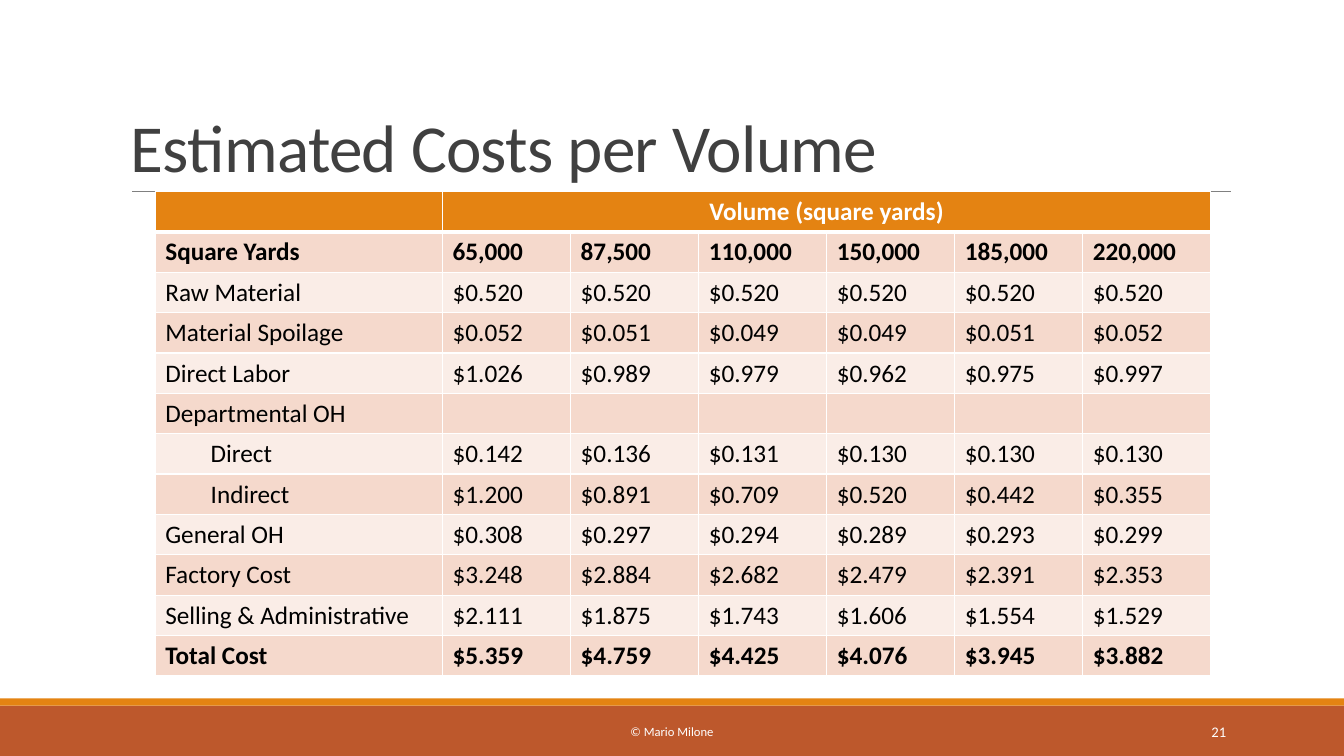
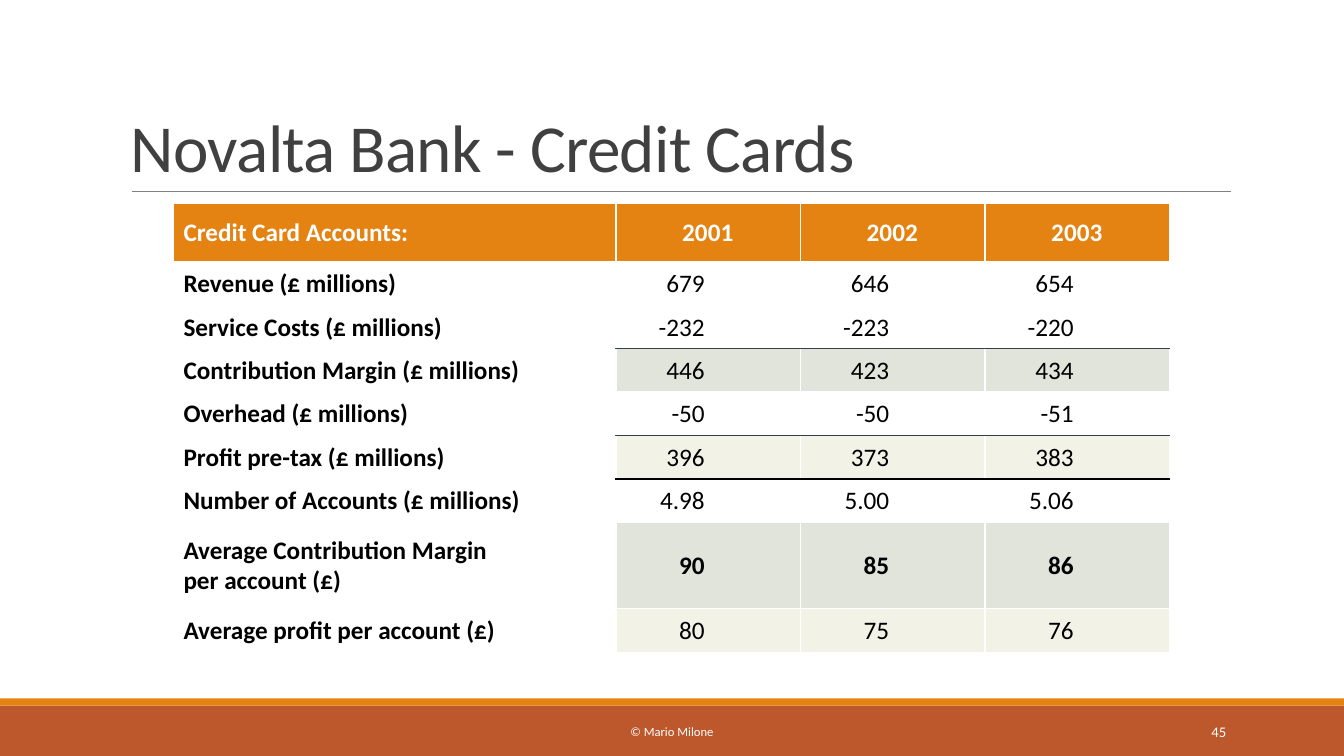
import pptx
import pptx.dml.color
import pptx.enum.shapes
import pptx.enum.text
import pptx.oxml
import pptx.oxml.ns
import pptx.util

Inches = pptx.util.Inches
Pt = pptx.util.Pt
ALIGN = pptx.enum.text.PP_ALIGN
MID = pptx.enum.text.MSO_ANCHOR.MIDDLE
LOW = pptx.enum.text.MSO_ANCHOR.BOTTOM

# Shared look
FONT = "Calibri"
WHITE, BLACK, INK, GRAY = "FFFFFF", "000000", "404040", "808080"
RUST, AMBER, NAVY = "BD582C", "E48312", "323F4F"
ROSE, BLUSH = "F5D9CC", "FAEDE7"
SAGE, CREAM = "E0E4DB", "F3F2E6"

# Cost table: label and one value per volume
COSTS = [
    ["", "Volume (square yards)", "", "", "", "", ""],
    ["Square Yards", "65,000", "87,500", "110,000", "150,000", "185,000", "220,000"],
    ["Raw Material"] + ["$0.520"] * 6,
    ["Material Spoilage", "$0.052", "$0.051", "$0.049", "$0.049", "$0.051", "$0.052"],
    ["Direct Labor", "$1.026", "$0.989", "$0.979", "$0.962", "$0.975", "$0.997"],
    ["Departmental OH"] + [""] * 6,
    ["Direct", "$0.142", "$0.136", "$0.131", "$0.130", "$0.130", "$0.130"],
    ["Indirect", "$1.200", "$0.891", "$0.709", "$0.520", "$0.442", "$0.355"],
    ["General OH", "$0.308", "$0.297", "$0.294", "$0.289", "$0.293", "$0.299"],
    ["Factory Cost", "$3.248", "$2.884", "$2.682", "$2.479", "$2.391", "$2.353"],
    ["Selling & Administrative", "$2.111", "$1.875", "$1.743", "$1.606", "$1.554", "$1.529"],
    ["Total Cost", "$5.359", "$4.759", "$4.425", "$4.076", "$3.945", "$3.882"],
]

# Card table: label and one value per year
CARDS = [
    ["Credit Card Accounts:", "2001", "2002", "2003"],
    ["Revenue (£ millions)", "679", "646", "654"],
    ["Service Costs (£ millions)", "-232", "-223", "-220"],
    ["Contribution Margin (£ millions)", "446", "423", "434"],
    ["Overhead (£ millions)", "-50", "-50", "-51"],
    ["Profit pre-tax (£ millions)", "396", "373", "383"],
    ["Number of Accounts (£ millions)", "4.98", "5.00", "5.06"],
    ["Average Contribution Margin\vper account (£)", "90", "85", "86"],
    ["Average profit per account (£)", "80", "75", "76"],
]


def rgb(code):
    return pptx.dml.color.RGBColor.from_string(code)


def ink(frame, size, color, bold=False, align=ALIGN.LEFT):
    for para in frame.paragraphs:
        para.alignment = align
        for run in para.runs:
            run.font.name = FONT
            run.font.size = Pt(size)
            run.font.bold = bold
            run.font.color.rgb = rgb(color)


def band(slide, top, tall, color):
    kind = pptx.enum.shapes.MSO_SHAPE.RECTANGLE
    shape = slide.shapes.add_shape(kind, 0, Inches(top), Inches(13.33), Inches(tall))
    shape.shadow.inherit = False
    shape.fill.solid()
    shape.fill.fore_color.rgb = rgb(color)
    shape.line.fill.background()


def rule(slide, left, right, top):
    kind = pptx.enum.shapes.MSO_CONNECTOR.STRAIGHT
    line = slide.shapes.add_connector(
        kind, Inches(left), Inches(top), Inches(right), Inches(top))
    line.line.color.rgb = rgb(GRAY)
    line.line.width = Pt(0.5)
    line._element.spPr.append(pptx.oxml.parse_xml(
        f"<a:effectLst {pptx.oxml.ns.nsdecls('a')}/>"))


def label(slide, at, text, size, color, align=ALIGN.LEFT, anchor=MID):
    frame = slide.shapes.add_textbox(*map(Inches, at)).text_frame
    frame.word_wrap = True
    frame.vertical_anchor = anchor
    frame.text = text
    ink(frame, size, color, align=align)
    return frame.paragraphs[0]


def page(deck, title, number):
    """Add a slide with the bands, title and footer that all slides share."""
    slide = deck.slides.add_slide(deck.slide_layouts[6])
    band(slide, 7, 0.5, RUST)
    band(slide, 6.93, 0.07, AMBER)
    rule(slide, 1.31, 12.21, 1.9)
    head = label(slide, (1.2, 0.31, 11, 1.59), title, 48, INK, anchor=LOW)
    head.line_spacing = 0.85
    head.runs[0]._r.get_or_add_rPr().set("spc", "-50")
    label(slide, (4.03, 7.06, 5.27, 0.4), "© Mario Milone", 9, WHITE, ALIGN.CENTER)
    label(slide, (10.83, 7.06, 1.43, 0.4), number, 10.5, WHITE, ALIGN.RIGHT)
    return slide


def edge(cell, side, color, width):
    cell._tc.get_or_add_tcPr().append(pptx.oxml.parse_xml(
        f'<a:ln{side} {pptx.oxml.ns.nsdecls("a")} w="{Pt(width)}">'
        f'<a:solidFill><a:srgbClr val="{color}"/></a:solidFill></a:ln{side}>'))


def grid(slide, left, top, wide, tall, rows, lines):
    """Add a table; lines maps a row to the rule above its cells."""
    count = len(rows), len(wide)
    table = slide.shapes.add_table(
        *count, Inches(left), Inches(top), Inches(sum(wide)), Inches(sum(tall))).table
    table.first_row = table.horz_banding = False
    for col, size in zip(table.columns, wide):
        col.width = Inches(size)
    for row, size in zip(table.rows, tall):
        row.height = Inches(size)
    plain = (WHITE, 1)
    for r, row in enumerate(rows):
        for c, text in enumerate(row):
            cell = table.cell(r, c)
            cell.text_frame.text = text
            # Coloured rules run under the values only
            own = lines if c else {1: lines[1]}
            edge(cell, "L", *plain)
            edge(cell, "R", *plain)
            edge(cell, "T", *own.get(r, plain))
            edge(cell, "B", *own.get(r + 1, plain))
    return table


def paint(cell, fill, color=BLACK, bold=False, align=ALIGN.LEFT):
    if fill:
        cell.fill.solid()
        cell.fill.fore_color.rgb = rgb(fill)
    else:
        cell.fill.background()
    ink(cell.text_frame, 18, color, bold, align)


def costs(deck):
    slide = page(deck, "Estimated Costs per Volume", "21")
    table = grid(slide, 1.54, 1.9, [2.85] + [1.27] * 6, [0.4] * len(COSTS),
                 COSTS, {1: (WHITE, 3)})
    last = len(COSTS) - 1
    for r, row in enumerate(COSTS):
        for c in range(len(row)):
            cell = table.cell(r, c)
            if r == 0:
                paint(cell, AMBER, WHITE, True, ALIGN.CENTER)
            else:
                paint(cell, ROSE if r % 2 else BLUSH, bold=r in (1, last))
        if row[0] in ("Direct", "Indirect"):
            table.cell(r, 0).margin_left = Inches(0.55)
    table.cell(0, 1).merge(table.cell(0, 6))


def cards(deck):
    slide = page(deck, "Novalta Bank - Credit Cards", "45")
    lines = {1: (WHITE, 1.5), 3: (NAVY, 1), 5: (NAVY, 1), 6: (BLACK, 2)}
    fills = {3: SAGE, 5: CREAM, 7: SAGE, 8: CREAM}
    tall = [0.58] + [0.43] * 6 + [0.86, 0.43]
    table = grid(slide, 1.72, 2.02, [4.39] + [1.83] * 3, tall, CARDS, lines)
    for r, row in enumerate(CARDS):
        for c in range(len(row)):
            cell = table.cell(r, c)
            cell.vertical_anchor = MID
            cell.margin_left = Inches(0 if c else 0.1)
            cell.margin_top = cell.margin_right = Inches(0.01)
            cell.margin_bottom = 0
            if r == 0:
                paint(cell, AMBER, WHITE, True, ALIGN.CENTER if c else ALIGN.LEFT)
            elif c == 0:
                paint(cell, None, bold=True)
            else:
                cell.margin_right = Inches(0.95)
                paint(cell, fills.get(r), bold=r == 7, align=ALIGN.RIGHT)


def main():
    deck = pptx.Presentation()
    deck.slide_width = Inches(13.33)
    deck.slide_height = Inches(7.5)
    costs(deck)
    cards(deck)
    deck.save("out.pptx")


if __name__ == "__main__":
    main()
